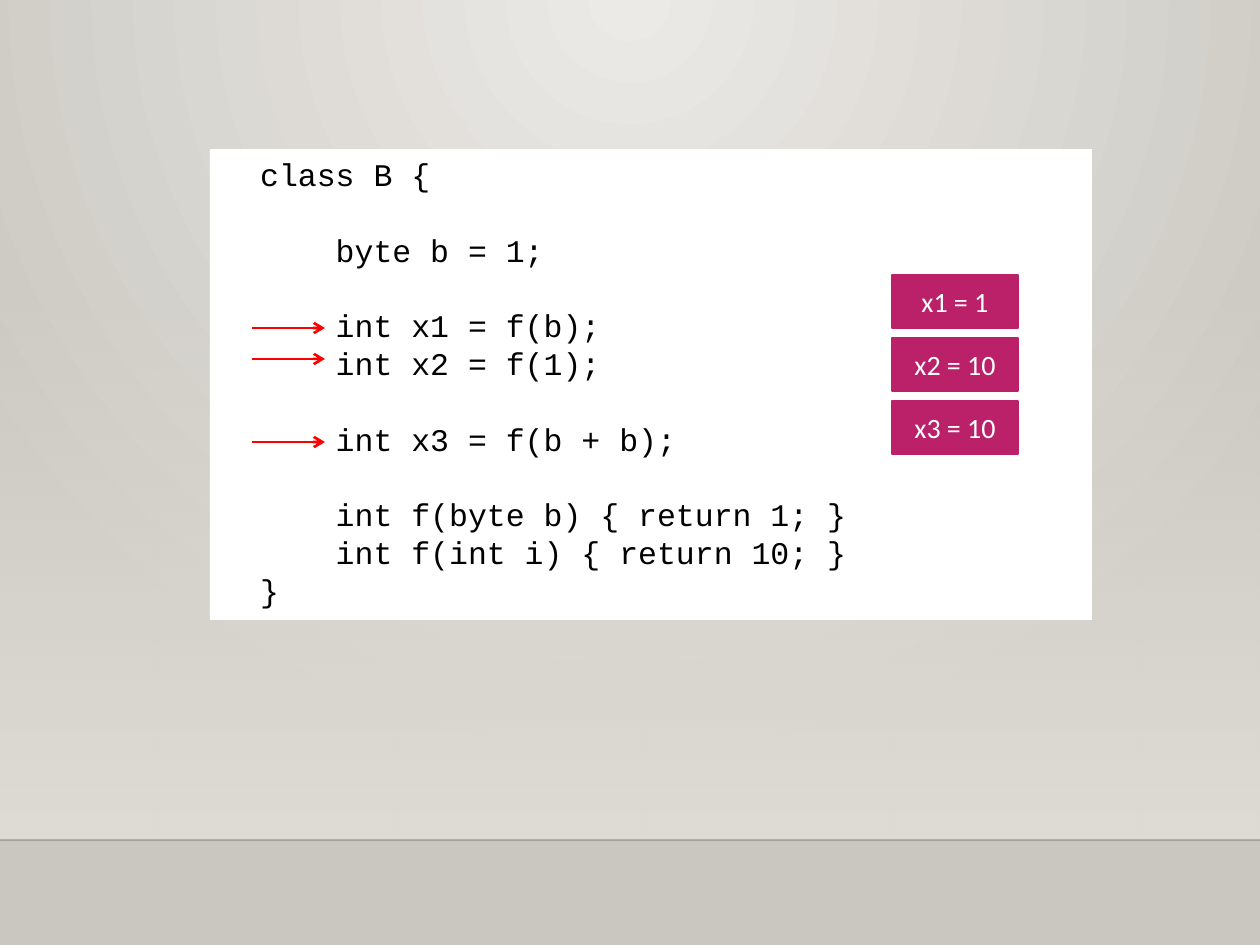
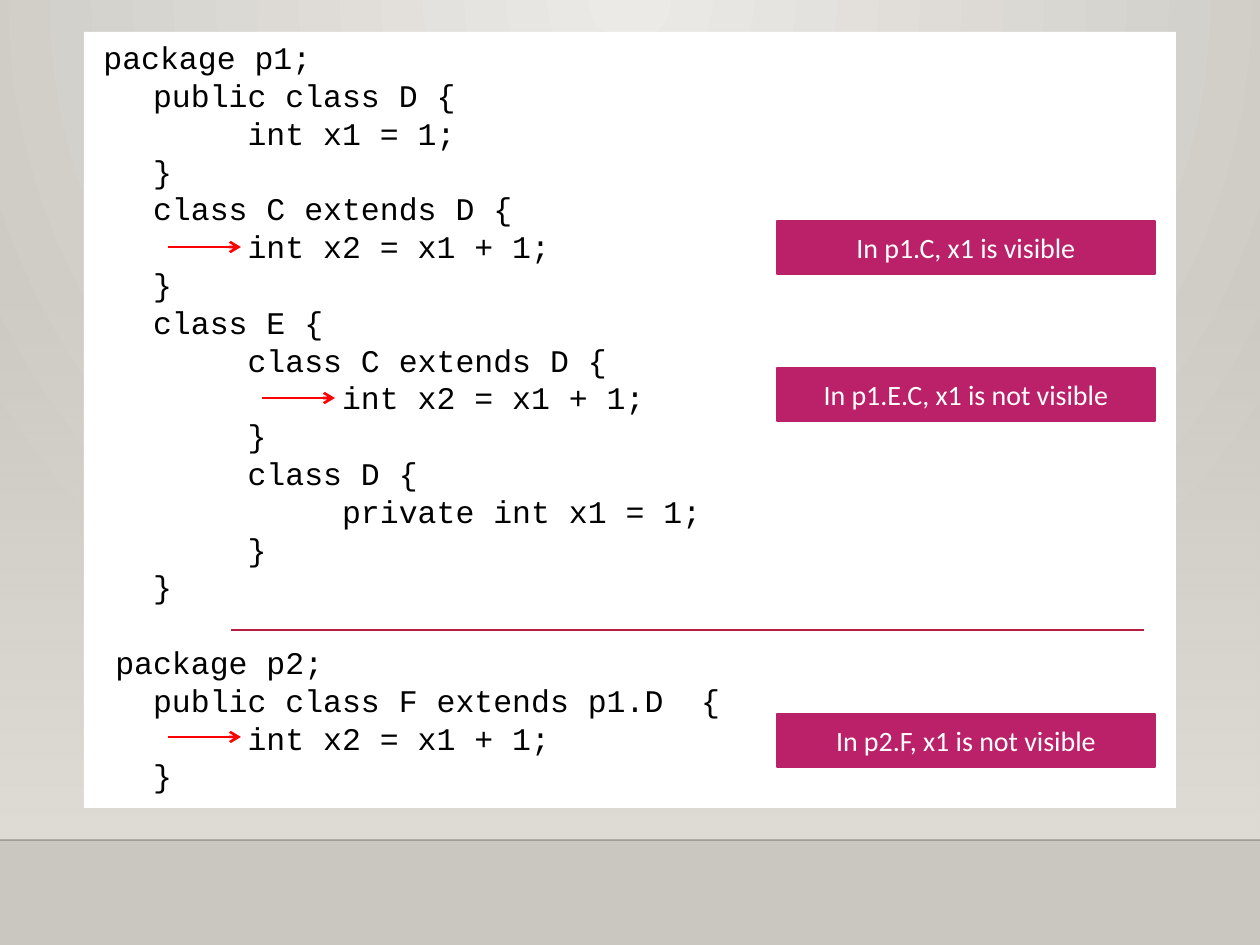
"""Build two slides on Java overload resolution and field visibility."""
import lxml.etree
import pptx
import pptx.dml.color
import pptx.enum.shapes
import pptx.enum.text
import pptx.oxml
import pptx.oxml.ns
import pptx.util

PX = 914400 / 126
WHITE = pptx.dml.color.RGBColor(0xFF, 0xFF, 0xFF)
BLACK = pptx.dml.color.RGBColor(0x00, 0x00, 0x00)
MAGENTA = pptx.dml.color.RGBColor(0xBA, 0x21, 0x69)
CRIMSON = pptx.dml.color.RGBColor(0xB7, 0x1E, 0x42)
RED = pptx.dml.color.RGBColor(0xFF, 0x00, 0x00)
GLOW = pptx.dml.color.RGBColor(0xEC, 0xEA, 0xE7)
STONE = pptx.dml.color.RGBColor(0xCA, 0xC7, 0xC1)
SAND = pptx.dml.color.RGBColor(0xDF, 0xDB, 0xD5)
CODE_FONT = "Courier New"
LABEL_FONT = "Calibri"
LINE_PITCH = pptx.util.Pt(21.6)
NAMESPACE = pptx.oxml.ns.nsdecls("a", "p")


def add_box(slide, left, top, width, height, color):
    edges = [round(length * PX) for length in (left, top, width, height)]
    box = slide.shapes.add_shape(pptx.enum.shapes.MSO_SHAPE.RECTANGLE, *edges)
    box.shadow.inherit = False
    box.fill.solid()
    box.fill.fore_color.rgb = color
    box.line.fill.background()
    box.text_frame.word_wrap = True
    return box


def add_line(slide, start, end, y, color, weight):
    ends = [round(length * PX) for length in (start, y, end, y)]
    line = slide.shapes.add_connector(pptx.enum.shapes.MSO_CONNECTOR.STRAIGHT, *ends)
    line.line.color.rgb = color
    line.line.width = pptx.util.Pt(weight)
    lxml.etree.SubElement(line._element.spPr, pptx.oxml.ns.qn("a:effectLst"))
    return line


overload_code = """  class B {

      byte b = 1;

      int x1 = f(b);
      int x2 = f(1);

      int x3 = f(b + b);

      int f(byte b) { return 1; }
      int f(int i) { return 10; }
  }"""

visibility_code = """package p1;
   public class D {
        int x1 = 1;
   }
   class C extends D {
        int x2 = x1 + 1;
   }
   class E {
        class C extends D {
             int x2 = x1 + 1;
        }
        class D {
             private int x1 = 1;
        }
   }

 package p2;
   public class F extends p1.D  {
        int x2 = x1 + 1;
   }"""

pages = [
    {
        "code": overload_code,
        "panel": (210, 149, 882, 471),
        "first_indent": 0,
        "label_left": 892,
        "label_width": 126,
        "labels": [(275, "x1 = 1"), (338, "x2 = 10"), (401, "x3 = 10")],
        "arrows": [(252, 328), (252, 359), (252, 442)],
        "dividers": [],
    },
    {
        "code": visibility_code,
        "panel": (84, 32, 1092, 776),
        "first_indent": 7,
        "label_left": 777,
        "label_width": 378,
        "labels": [
            (221, "In p1.C, x1 is visible"),
            (368, "In p1.E.C, x1 is not visible"),
            (714, "In p2.F, x1 is not visible"),
        ],
        "arrows": [(168, 247), (262, 398), (168, 737)],
        "dividers": [(231, 1144, 630)],
    },
]

deck = pptx.Presentation()
deck.slide_width = round(1260 * PX)
deck.slide_height = round(945 * PX)
blank_layout = deck.slide_layouts[6]
slides = [deck.slides.add_slide(blank_layout) for page in pages]

master = deck.slide_master
common = master._element.cSld
old_background = common.find(pptx.oxml.ns.qn("p:bg"))
if old_background is not None:
    common.remove(old_background)
common.insert(0, pptx.oxml.parse_xml(
    f'<p:bg {NAMESPACE}><p:bgPr><a:gradFill rotWithShape="1"><a:gsLst>'
    f'<a:gs pos="0"><a:srgbClr val="{GLOW}"/></a:gs>'
    f'<a:gs pos="100000"><a:srgbClr val="{STONE}"/></a:gs></a:gsLst>'
    '<a:path path="circle"><a:fillToRect l="43000" t="0" r="43000" b="100000"/></a:path>'
    '</a:gradFill><a:effectLst/></p:bgPr></p:bg>'
))

floor_glow = add_box(slides[0], 0, 277, 1260, 563, SAND)
solid_fill = floor_glow._element.spPr.find(pptx.oxml.ns.qn("a:solidFill"))
solid_fill.getparent().replace(solid_fill, pptx.oxml.parse_xml(
    f'<a:gradFill {NAMESPACE}><a:gsLst>'
    f'<a:gs pos="0"><a:srgbClr val="{SAND}"><a:alpha val="0"/></a:srgbClr></a:gs>'
    f'<a:gs pos="100000"><a:srgbClr val="{SAND}"/></a:gs></a:gsLst>'
    '<a:lin ang="5400000" scaled="0"/></a:gradFill>'
))
floor_edge = add_line(slides[0], 0, 1260, 840, BLACK, 1)
edge_color = floor_edge._element.spPr.find(".//" + pptx.oxml.ns.qn("a:srgbClr"))
lxml.etree.SubElement(edge_color, pptx.oxml.ns.qn("a:alpha"), val="20000")
for backdrop in (floor_glow, floor_edge):
    master.shapes._spTree.append(backdrop._element)

for slide, page in zip(slides, pages):
    panel = add_box(slide, *page["panel"], WHITE)
    frame = panel.text_frame
    frame.vertical_anchor = pptx.enum.text.MSO_ANCHOR.TOP
    para = frame.paragraphs[0]
    para._p.get_or_add_pPr().set("marL", str(round(page["first_indent"] * PX)))
    gap_before = False
    for number, code_line in enumerate(page["code"].split("\n")):
        if not code_line:
            gap_before = True
            continue
        if number:
            para = frame.add_paragraph()
        para.text = code_line
        para.alignment = pptx.enum.text.PP_ALIGN.LEFT
        para.line_spacing = LINE_PITCH
        if gap_before:
            para.space_before = LINE_PITCH
            gap_before = False
        span = para.runs[0]
        span.font.name = CODE_FONT
        span.font.size = pptx.util.Pt(18)
        span.font.color.rgb = BLACK

    for top, caption in page["labels"]:
        label = add_box(slide, page["label_left"], top, page["label_width"], 53, MAGENTA)
        label.line.color.rgb = MAGENTA
        label.line.width = pptx.util.Pt(1.25)
        label.text_frame.text = caption
        label.text_frame.vertical_anchor = pptx.enum.text.MSO_ANCHOR.MIDDLE
        para = label.text_frame.paragraphs[0]
        para.alignment = pptx.enum.text.PP_ALIGN.CENTER
        span = para.runs[0]
        span.font.name = LABEL_FONT
        span.font.size = pptx.util.Pt(16)
        span.font.color.rgb = WHITE

    for start, y in page["arrows"]:
        arrow = add_line(slide, start, start + 73, y, RED, 1.5)
        outline = arrow.line._get_or_add_ln()
        lxml.etree.SubElement(outline, pptx.oxml.ns.qn("a:tailEnd"), type="arrow")

    for start, end, y in page["dividers"]:
        add_line(slide, start, end, y, CRIMSON, 0.75)

deck.save("out.pptx")
